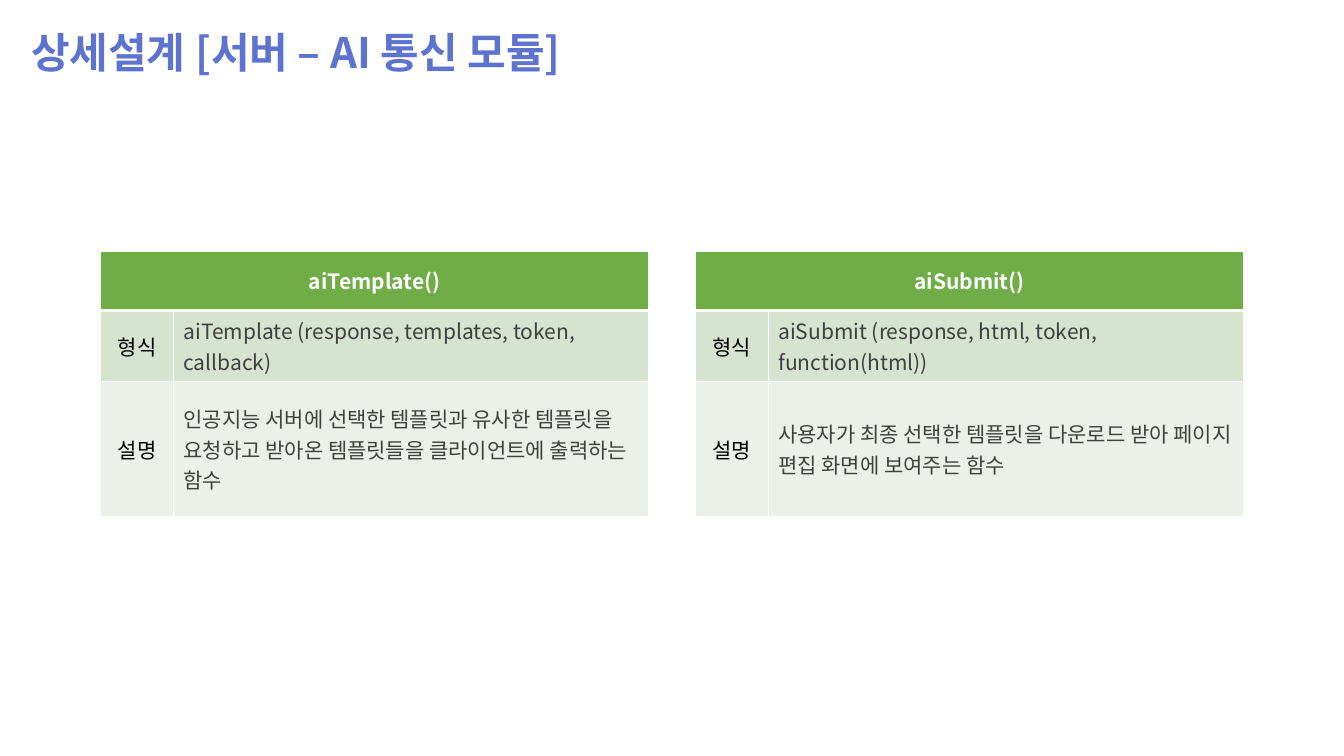
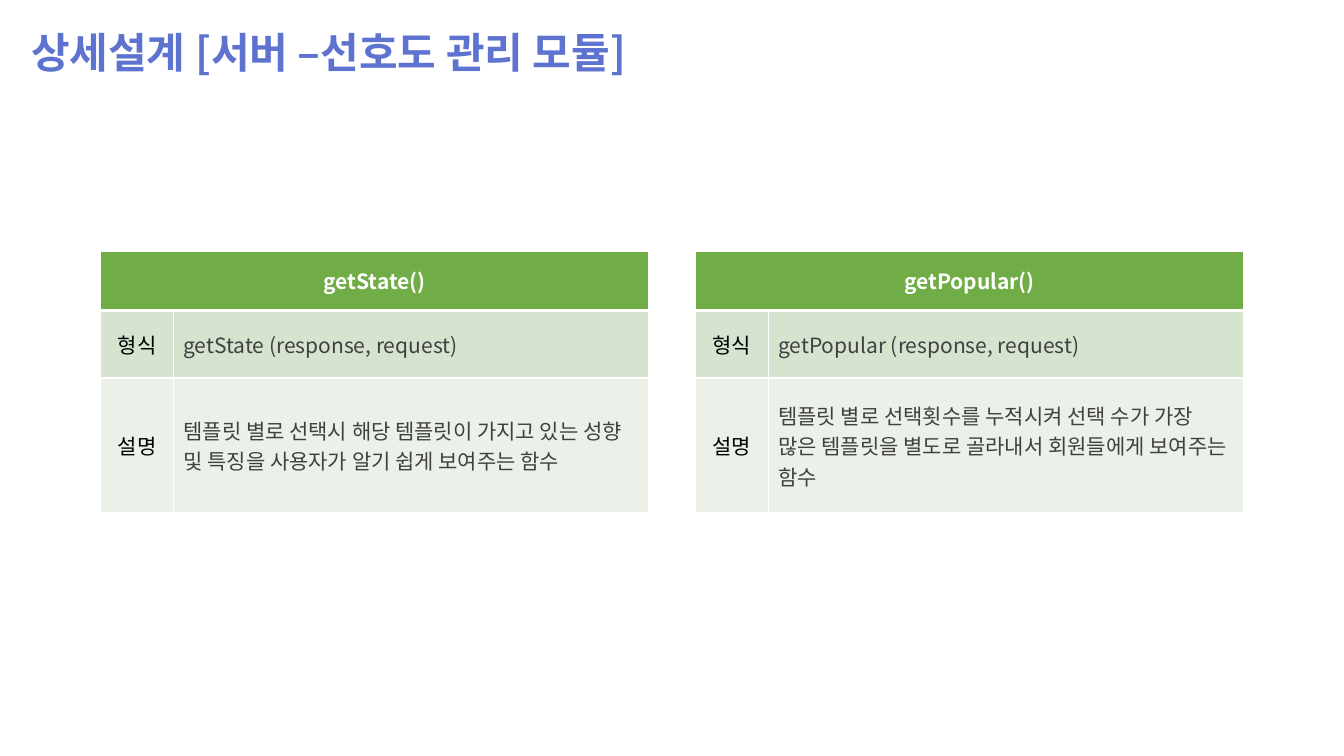
import pptx
import pptx.dml.color
import pptx.enum.text
import pptx.oxml.ns
import pptx.util
from lxml import etree

SLIDES = [
    {
        "title": "상세설계 [서버 – AI 통신 모듈]",
        "title_width": 717,
        "functions": [
            ("aiTemplate()", "aiTemplate (response, templates, token, callback)",
             "인공지능 서버에 선택한 템플릿과 유사한 템플릿을 요청하고 받아온 템플릿들을 클라이언트에 출력하는 함수"),
            ("aiSubmit()", "aiSubmit (response, html, token, function(html))",
             "사용자가 최종 선택한 템플릿을 다운로드 받아 페이지 편집 화면에 보여주는 함수"),
        ],
    },
    {
        "title": "상세설계 [서버 –선호도 관리 모듈]",
        "title_width": 787,
        "functions": [
            ("getState()", "getState (response, request)",
             "템플릿 별로 선택시 해당 템플릿이 가지고 있는 성향 및 특징을 사용자가 알기 쉽게 보여주는 함수"),
            ("getPopular()", "getPopular (response, request)",
             "템플릿 별로 선택횟수를 누적시켜 선택 수가 가장 많은 템플릿을 별도로 골라내서 회원들에게 보여주는 함수"),
        ],
    },
]
ROW_LABELS = ("형식", "설명")

FONT = "Noto Sans CJK KR"
TITLE_COLOR = "5D73CF"
WHITE = "FFFFFF"
LABEL_COLOR = "000000"
BODY_COLOR = "404040"
ROW_FILLS = ("70AD47", "D5E3CF", "EBF1E9")

EMU_PER_PX = 9144
SLIDE_SIZE = (1333, 750)
TITLE_LEFT, TITLE_TOP, TITLE_HEIGHT = 21, 21, 61
TABLE_LEFT, TABLE_TOP, TABLE_GAP = 100, 249, 47
COLUMN_WIDTHS = (72, 471)
ROW_HEIGHTS = (59, 67, 134)
CENTER = pptx.enum.text.PP_ALIGN.CENTER
LEFT = pptx.enum.text.PP_ALIGN.LEFT


def px(length):
    return pptx.util.Emu(length * EMU_PER_PX)


def color(value):
    return pptx.dml.color.RGBColor.from_string(value)


def add_element(parent, tag, **attributes):
    return etree.SubElement(parent, pptx.oxml.ns.qn(tag), **attributes)


def add_span(para, text, size, text_color, bold=False):
    span = para.add_run()
    span.text = text
    span.font.size = pptx.util.Pt(size)
    span.font.bold = bold
    span.font.color.rgb = color(text_color)
    span.font.name = FONT
    add_element(span.font._element, "a:ea", typeface=FONT)


def set_borders(cell, **widths):
    properties = cell._tc.get_or_add_tcPr()
    for position, side in enumerate("LRTB"):
        width = pptx.util.Pt(widths.get(side, 1))
        line = add_element(properties, f"a:ln{side}", w=str(width))
        add_element(add_element(line, "a:solidFill"), "a:srgbClr", val=WHITE)
        properties.insert(position, line)


def add_title(page, text, width):
    box = page.shapes.add_textbox(
        px(TITLE_LEFT), px(TITLE_TOP), px(width), px(TITLE_HEIGHT))
    frame = box.text_frame
    frame.word_wrap = True
    frame.auto_size = pptx.enum.text.MSO_AUTO_SIZE.SHAPE_TO_FIT_TEXT
    add_span(frame.paragraphs[0], text, 30, TITLE_COLOR, True)


def fill_cell(cell, text, text_color, align, bold=False):
    cell.vertical_anchor = pptx.enum.text.MSO_ANCHOR.MIDDLE
    para = cell.text_frame.paragraphs[0]
    para.alignment = align
    add_span(para, text, 15, text_color, bold)


def add_function_table(page, left, name, details):
    table = page.shapes.add_table(
        len(ROW_HEIGHTS), len(COLUMN_WIDTHS), px(left), px(TABLE_TOP),
        px(sum(COLUMN_WIDTHS)), px(sum(ROW_HEIGHTS))).table
    for column, width in zip(table.columns, COLUMN_WIDTHS):
        column.width = px(width)
    for index, (row, height) in enumerate(zip(table.rows, ROW_HEIGHTS)):
        row.height = px(height)
        for cell in row.cells:
            cell.fill.solid()
            cell.fill.fore_color.rgb = color(ROW_FILLS[index])
            set_borders(cell, B=3 if index == 0 else 1, T=3 if index == 1 else 1)
    table.cell(0, 0).merge(table.cell(0, 1))
    fill_cell(table.cell(0, 0), name, WHITE, CENTER, True)
    for index, (label, detail) in enumerate(zip(ROW_LABELS, details), 1):
        fill_cell(table.cell(index, 0), label, LABEL_COLOR, CENTER)
        fill_cell(table.cell(index, 1), detail, BODY_COLOR, LEFT)


def main():
    deck = pptx.Presentation()
    deck.slide_width, deck.slide_height = map(px, SLIDE_SIZE)
    for content in SLIDES:
        page = deck.slides.add_slide(deck.slide_layouts[6])
        for index, (name, *details) in enumerate(content["functions"]):
            left = TABLE_LEFT + index * (sum(COLUMN_WIDTHS) + TABLE_GAP)
            add_function_table(page, left, name, details)
        add_title(page, content["title"], content["title_width"])
    deck.save("out.pptx")


if __name__ == "__main__":
    main()
